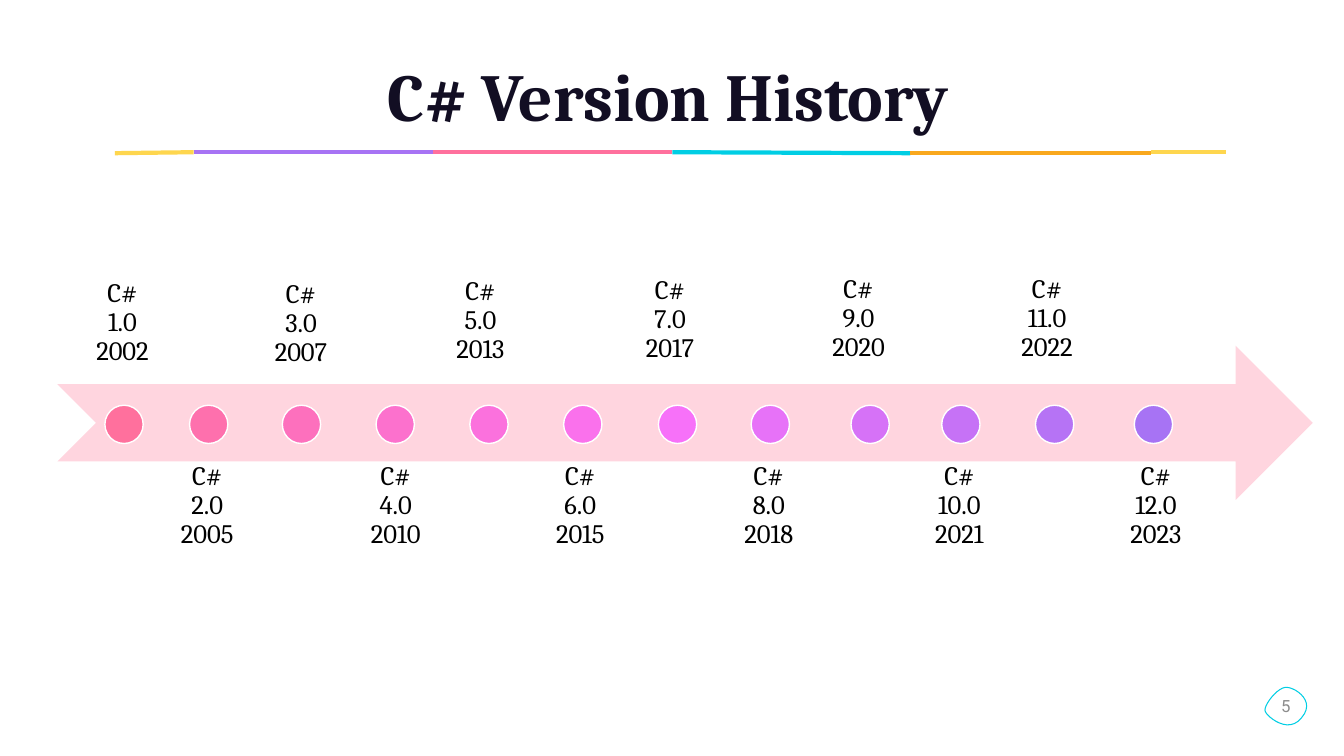
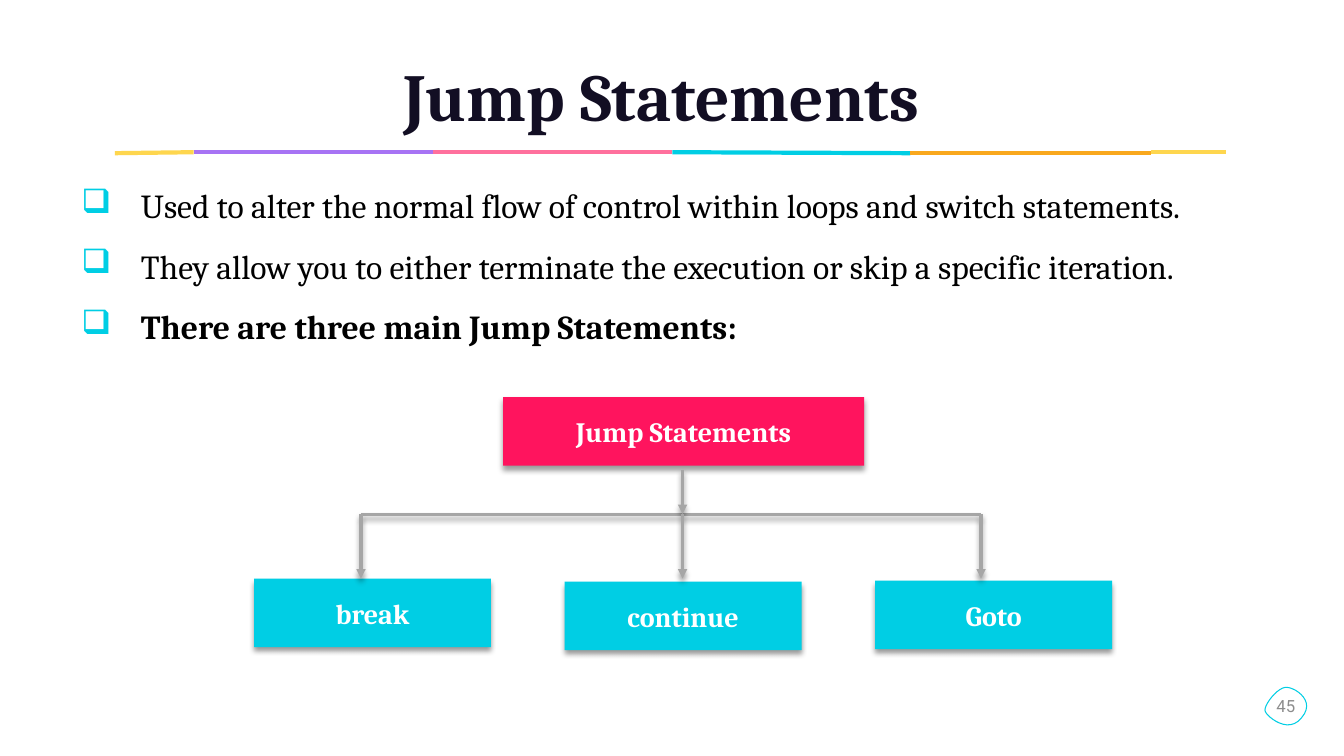
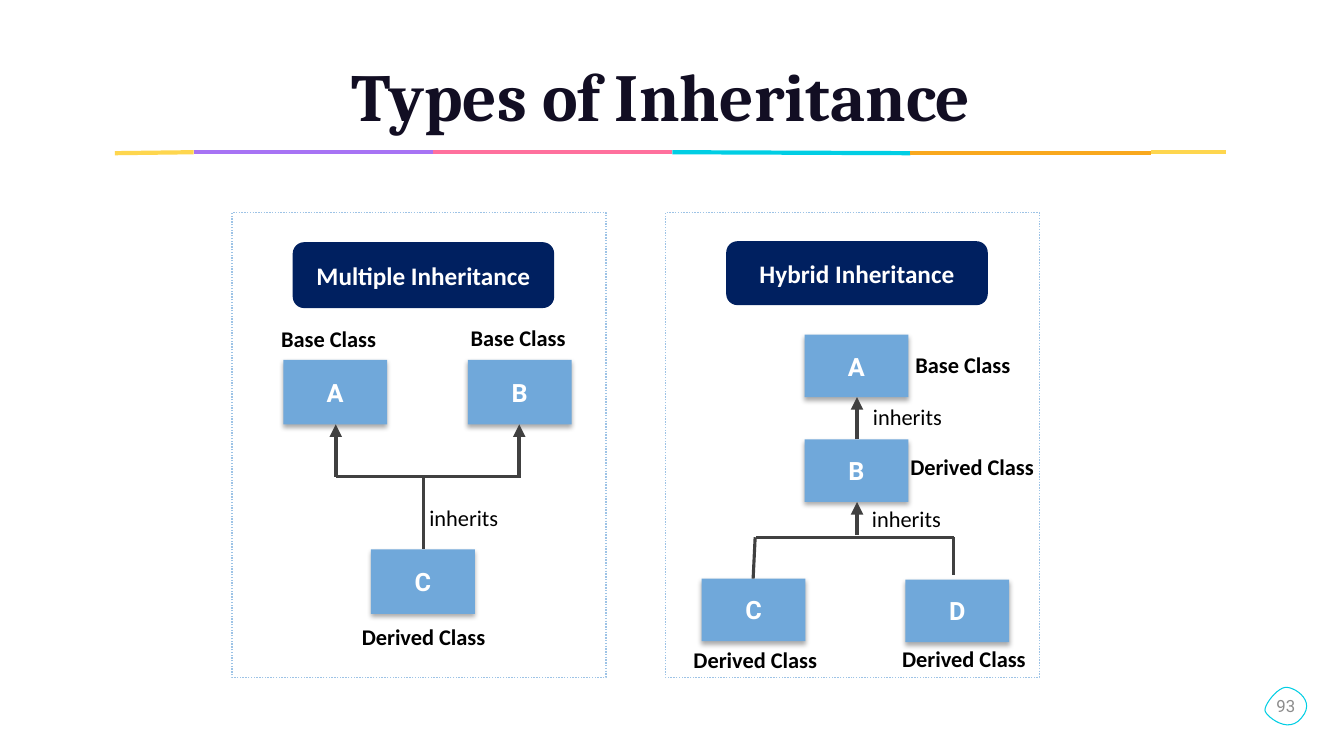
"""Build three C# course slides: version history, jump statements and inheritance."""
import dataclasses

import lxml.etree
import pptx
import pptx.dml.color
import pptx.enum.dml
import pptx.enum.shapes
import pptx.enum.text
import pptx.oxml.ns
import pptx.util

Inches = pptx.util.Inches
Pt = pptx.util.Pt
qn = pptx.oxml.ns.qn
SHAPE = pptx.enum.shapes.MSO_SHAPE
ALIGN = pptx.enum.text.PP_ALIGN
ANCHOR = pptx.enum.text.MSO_ANCHOR


@dataclasses.dataclass(frozen=True)
class Theme:
    """Colours, fonts and type sizes of the deck."""
    ink: str = "120E23"
    black: str = "000000"
    white: str = "FFFFFF"
    cyan: str = "00CEE4"
    yellow: str = "FED64E"
    purple: str = "A773F4"
    pink: str = "FF709D"
    orange: str = "F9A81D"
    pale_pink: str = "FFD5DF"
    red: str = "FF145E"
    grey: str = "A6A6A6"
    number_grey: str = "8C8C8C"
    charcoal: str = "404040"
    navy: str = "002060"
    sky: str = "70A8DA"
    panel_edge: str = "9DC3E6"
    serif: str = "Cambria"
    sans: str = "Calibri"
    plain: str = "Roboto"
    title_size: int = 48
    body_size: int = 24
    node_size: int = 20
    version_size: int = 19
    class_size: int = 18
    label_size: int = 16
    number_size: int = 12


THEME = Theme()

RULE = [
    ((1.14, 1.52), (1.92, 1.51), THEME.yellow),
    ((1.92, 1.51), (4.29, 1.51), THEME.purple),
    ((4.29, 1.51), (6.67, 1.51), THEME.pink),
    ((6.67, 1.51), (9.03, 1.52), THEME.cyan),
    ((9.03, 1.52), (11.42, 1.52), THEME.orange),
    ((11.42, 1.51), (12.16, 1.51), THEME.yellow),
]
BADGE_START = (12.77, 6.82)
BADGE_CURVES = [
    ((12.86, 6.83), (13.05, 6.96), (12.91, 7.12)),
    ((12.78, 7.29), (12.57, 7.11), (12.55, 7.06)),
    ((12.52, 7.01), (12.68, 6.8), (12.77, 6.82)),
]

VERSIONS = [
    ("C# 1.0 2002", 0.77, 2.25, 1.04, "FF709D"),
    ("C# 2.0 2005", 1.61, 4.44, 1.88, "FE70AD"),
    ("C# 3.0 2007", 2.54, 2.26, 2.8, "FD70BD"),
    ("C# 4.0 2010", 3.48, 4.44, 3.73, "FC71CD"),
    ("C# 5.0 2013", 4.32, 2.23, 4.66, "FB71DD"),
    ("C# 6.0 2015", 5.31, 4.44, 5.59, "FA71EC"),
    ("C# 7.0 2017", 6.2, 2.22, 6.53, "F771F9"),
    ("C# 8.0 2018", 7.18, 4.44, 7.45, "E772F8"),
    ("C# 9.0 2020", 8.07, 2.21, 8.44, "D672F7"),
    ("C# 10.0 2021", 9.07, 4.44, 9.34, "C672F6"),
    ("C# 11.0 2022", 9.94, 2.21, 10.27, "B673F5"),
    ("C# 12.0 2023", 11.02, 4.44, 11.25, "A773F4"),
]

JUMP_POINTS = [
    ("Used to alter the normal flow of control within loops and switch statements.", False),
    ("They allow you to either terminate the execution or skip a specific iteration.", False),
    ("There are three main Jump Statements:", True),
]
JUMP_NODES = [
    ("Jump Statements", 4.99, 3.94, 3.58, THEME.red),
    ("break", 2.52, 5.74, 2.35, THEME.cyan),
    ("continue", 5.6, 5.77, 2.35, THEME.cyan),
    ("Goto", 8.68, 5.76, 2.35, THEME.cyan),
]
JUMP_BRANCHES = (3.58, 6.77, 9.73)

PANELS = [
    {
        "heading": "Multiple Inheritance",
        "left": 2.3,
        "heading_top": 2.41,
        "box_height": 0.64,
        "classes": [("A", 2.81, 3.57), ("B", 4.64, 3.57), ("C", 3.68, 5.45)],
        "arrows": [((5.15, 4.74), (5.15, 4.21)), ((3.33, 4.73), (3.33, 4.21))],
        "lines": [((3.33, 4.73), (5.15, 4.73)), ((4.2, 4.74), (4.2, 5.45))],
        "labels": [
            ("inherits", 4.16, 4.95),
            ("Base Class", 2.69, 3.18),
            ("Base Class", 4.57, 3.17),
            ("Derived Class", 3.49, 6.13),
        ],
    },
    {
        "heading": "Hybrid Inheritance",
        "left": 6.6,
        "heading_top": 2.4,
        "box_height": 0.62,
        "classes": [("A", 7.98, 3.32), ("B", 7.98, 4.36), ("C", 6.96, 5.74), ("D", 8.98, 5.75)],
        "arrows": [((8.5, 5.31), (8.5, 4.98)), ((8.5, 4.36), (8.5, 3.94))],
        "lines": [
            ((7.5, 5.33), (9.46, 5.33)),
            ((7.49, 5.33), (7.47, 5.74)),
            ((9.46, 5.33), (9.46, 5.7)),
        ],
        "labels": [
            ("inherits", 8.56, 3.95),
            ("inherits", 8.55, 4.96),
            ("Base Class", 8.98, 3.43),
            ("Derived Class", 8.93, 4.45),
            ("Derived Class", 6.78, 6.36),
            ("Derived Class", 8.85, 6.35),
        ],
    },
]
LABEL_WIDTHS = {"inherits": 0.89, "Base Class": 1.15, "Derived Class": 1.5}
NODE_SHADOW = (40, 4, 3)
CLASS_SHADOW = (32, 3.5, 2.2)


def rgb(value):
    return pptx.dml.color.RGBColor.from_string(value)


def style_span(span, font, size, color, bold=False):
    span.font.name = font
    span.font.size = Pt(size)
    span.font.color.rgb = rgb(color)
    span.font.bold = bold


def write(shape, text, font, size, color, bold=False, align=ALIGN.CENTER,
          anchor=ANCHOR.MIDDLE, spacing=None):
    frame = shape.text_frame
    frame.text = text
    frame.word_wrap = True
    frame.vertical_anchor = anchor
    para = frame.paragraphs[0]
    para.alignment = align
    para.line_spacing = spacing
    style_span(para.runs[0], font, size, color, bold)
    return frame


def set_margins(frame, margin):
    frame.margin_left = frame.margin_right = Inches(margin)
    frame.margin_top = frame.margin_bottom = Inches(margin)


def add_effects(properties, shadow):
    effects = properties.find(qn("a:effectLst"))
    if effects is None:
        effects = lxml.etree.SubElement(properties, qn("a:effectLst"))
    if shadow:
        opacity, blur, distance = shadow
        outer = lxml.etree.SubElement(
            effects, qn("a:outerShdw"), blurRad=str(int(Pt(blur))), dist=str(int(Pt(distance))),
            dir="5400000", algn="t", rotWithShape="0")
        color = lxml.etree.SubElement(outer, qn("a:srgbClr"), val=THEME.black)
        lxml.etree.SubElement(color, qn("a:alpha"), val=str(opacity * 1000))


def paint(shape, fill=None, edge=None, width=1, shadow=None):
    shape.shadow.inherit = False
    if fill:
        shape.fill.solid()
        shape.fill.fore_color.rgb = rgb(fill)
    else:
        shape.fill.background()
    if edge:
        shape.line.color.rgb = rgb(edge)
        shape.line.width = Pt(width)
    else:
        shape.line.fill.background()
    add_effects(shape.element.spPr, shadow)
    return shape


def add_box(page, kind, left, top, width, height, **look):
    shape = page.shapes.add_shape(kind, Inches(left), Inches(top), Inches(width), Inches(height))
    return paint(shape, **look)


def add_textbox(page, left, top, width, height):
    return page.shapes.add_textbox(Inches(left), Inches(top), Inches(width), Inches(height))


def add_line(page, start, end, color, width, arrow=False, shadow=None):
    line = page.shapes.add_connector(
        pptx.enum.shapes.MSO_CONNECTOR.STRAIGHT, *map(Inches, start + end))
    line.line.color.rgb = rgb(color)
    line.line.width = Pt(width)
    properties = line.element.spPr
    if arrow:
        lxml.etree.SubElement(properties.find(qn("a:ln")), qn("a:tailEnd"), type="triangle")
    add_effects(properties, shadow)
    return line


def curve_points(start, curves, steps=12):
    points = []
    for first, second, end in curves:
        for step in range(1, steps + 1):
            t = step / steps
            weights = ((1 - t) ** 3, 3 * t * (1 - t) ** 2, 3 * t ** 2 * (1 - t), t ** 3)
            knots = (start, first, second, end)
            points.append(tuple(
                Inches(sum(w * knot[axis] for w, knot in zip(weights, knots)))
                for axis in (0, 1)))
        start = end
    return points


def add_page(deck, layout, title):
    page = deck.slides.add_slide(layout)
    frame = write(page.shapes.title, title, THEME.serif, THEME.title_size, THEME.ink, True,
                  anchor=ANCHOR.BOTTOM, spacing=1.7)
    frame.auto_size = pptx.enum.text.MSO_AUTO_SIZE.NONE
    return page


def add_badge(page, number):
    outline = page.shapes.build_freeform(*map(Inches, BADGE_START), scale=1.0)
    outline.add_line_segments(curve_points(BADGE_START, BADGE_CURVES), close=True)
    badge = paint(outline.convert_to_shape(), edge=THEME.cyan, width=0.75)
    frame = write(badge, str(number), THEME.plain, THEME.number_size, THEME.number_grey)
    set_margins(frame, 0)


def draw_versions(page):
    add_box(page, SHAPE.NOTCHED_RIGHT_ARROW, 0.57, 3.43, 12.45, 1.53, fill=THEME.pale_pink)
    for index, (text, left, top, dot_left, color) in enumerate(VERSIONS):
        anchor = ANCHOR.TOP if index % 2 else ANCHOR.BOTTOM
        label = add_textbox(page, left, top, 0.89, 1.53)
        frame = write(label, text, THEME.serif, THEME.version_size, THEME.black,
                      anchor=anchor, spacing=0.9)
        set_margins(frame, 0.15)
        add_box(page, SHAPE.OVAL, dot_left, 4.02, 0.38, 0.38, fill=color, edge=THEME.white)


def add_bullet(para):
    properties = para._p.get_or_add_pPr()
    properties.set("marL", str(Inches(0.59)))
    properties.set("indent", str(Inches(-0.59)))
    color = lxml.etree.SubElement(properties, qn("a:buClr"))
    lxml.etree.SubElement(color, qn("a:srgbClr"), val=THEME.cyan)
    lxml.etree.SubElement(properties, qn("a:buChar"), char="❑")


def draw_jumps(page):
    frame = add_textbox(page, 0.71, 1.59, 12.13, 2.1).text_frame
    frame.word_wrap = True
    frame.text = "\n".join(text for text, bold in JUMP_POINTS)
    for para, (text, bold) in zip(frame.paragraphs, JUMP_POINTS):
        add_bullet(para)
        para.line_spacing = 1.5
        style_span(para.runs[0], THEME.serif, THEME.body_size, THEME.black, bold)
    for text, left, top, width, color in JUMP_NODES:
        node = add_box(page, SHAPE.RECTANGLE, left, top, width, 0.68,
                       fill=color, shadow=NODE_SHADOW)
        write(node, text, THEME.serif, THEME.node_size, THEME.white, True)
    first, middle, last = JUMP_BRANCHES
    bar_top = 5.1
    add_line(page, (first, bar_top), (last, bar_top), THEME.grey, 2.25, shadow=NODE_SHADOW)
    arrows = [((middle, 4.66), (middle, bar_top))]
    arrows += [((x, bar_top), (x, 5.74)) for x in JUMP_BRANCHES]
    for start, end in arrows:
        add_line(page, start, end, THEME.grey, 2.25, arrow=True, shadow=NODE_SHADOW)


def draw_panel(page, panel):
    left, height = panel["left"], panel["box_height"]
    border = add_box(page, SHAPE.RECTANGLE, left, 2.11, 3.71, 4.61, edge=THEME.panel_edge)
    border.line.dash_style = pptx.enum.dml.MSO_LINE.ROUND_DOT
    heading = add_box(page, SHAPE.ROUNDED_RECTANGLE, left + 0.61, panel["heading_top"], 2.58,
                      height, fill=THEME.navy, edge=THEME.navy)
    write(heading, panel["heading"], THEME.sans, THEME.class_size, THEME.white, True)
    for name, box_left, top in panel["classes"]:
        box = add_box(page, SHAPE.RECTANGLE, box_left, top, 1.03, height,
                      fill=THEME.sky, shadow=CLASS_SHADOW)
        write(box, name, THEME.plain, THEME.class_size, THEME.white, True)
    for start, end in panel["arrows"]:
        add_line(page, start, end, THEME.charcoal, 3, arrow=True)
    for start, end in panel["lines"]:
        add_line(page, start, end, THEME.charcoal, 2.25)
    for text, label_left, top in panel["labels"]:
        label = add_textbox(page, label_left, top, LABEL_WIDTHS[text], 0.37)
        frame = write(label, text, THEME.sans, THEME.label_size, THEME.black,
                      text != "inherits", ALIGN.LEFT, ANCHOR.TOP)
        frame.word_wrap = False


def draw_inheritance(page):
    for panel in PANELS:
        draw_panel(page, panel)


PAGES = [
    ("C# Version History", 5, draw_versions),
    ("Jump Statements ", 45, draw_jumps),
    ("Types of Inheritance ", 93, draw_inheritance),
]


def prepare_layout(deck):
    layout = deck.slide_layouts.get_by_name("Title Only")
    title = layout.placeholders[0]
    title.left, title.top = Inches(0.71), Inches(0.5)
    title.width, title.height = Inches(11.84), Inches(0.89)
    return layout


def main():
    deck = pptx.Presentation()
    deck.slide_width, deck.slide_height = Inches(13.33), Inches(7.5)
    layout = prepare_layout(deck)
    for title, number, draw in PAGES:
        page = add_page(deck, layout, title)
        for start, end, color in RULE:
            add_line(page, start, end, color, 3)
        draw(page)
        add_badge(page, number)
    deck.save("out.pptx")


if __name__ == "__main__":
    main()
